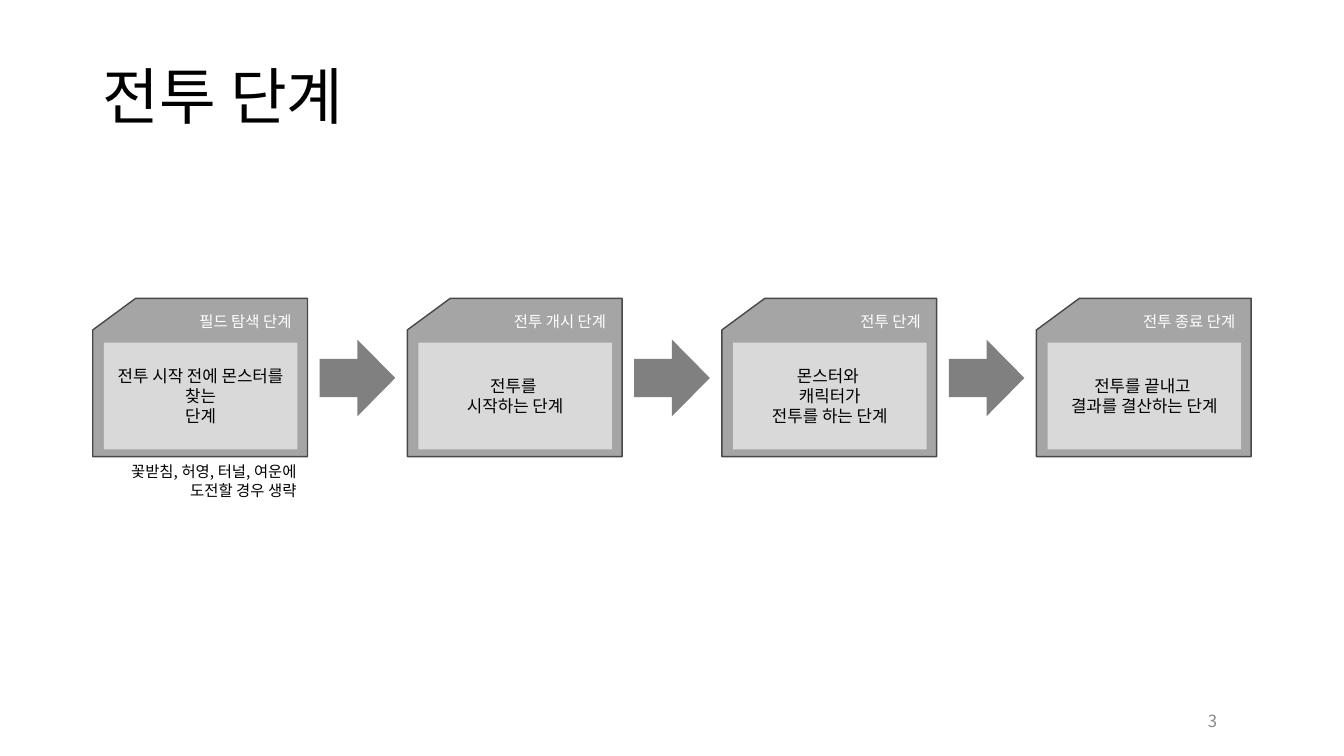
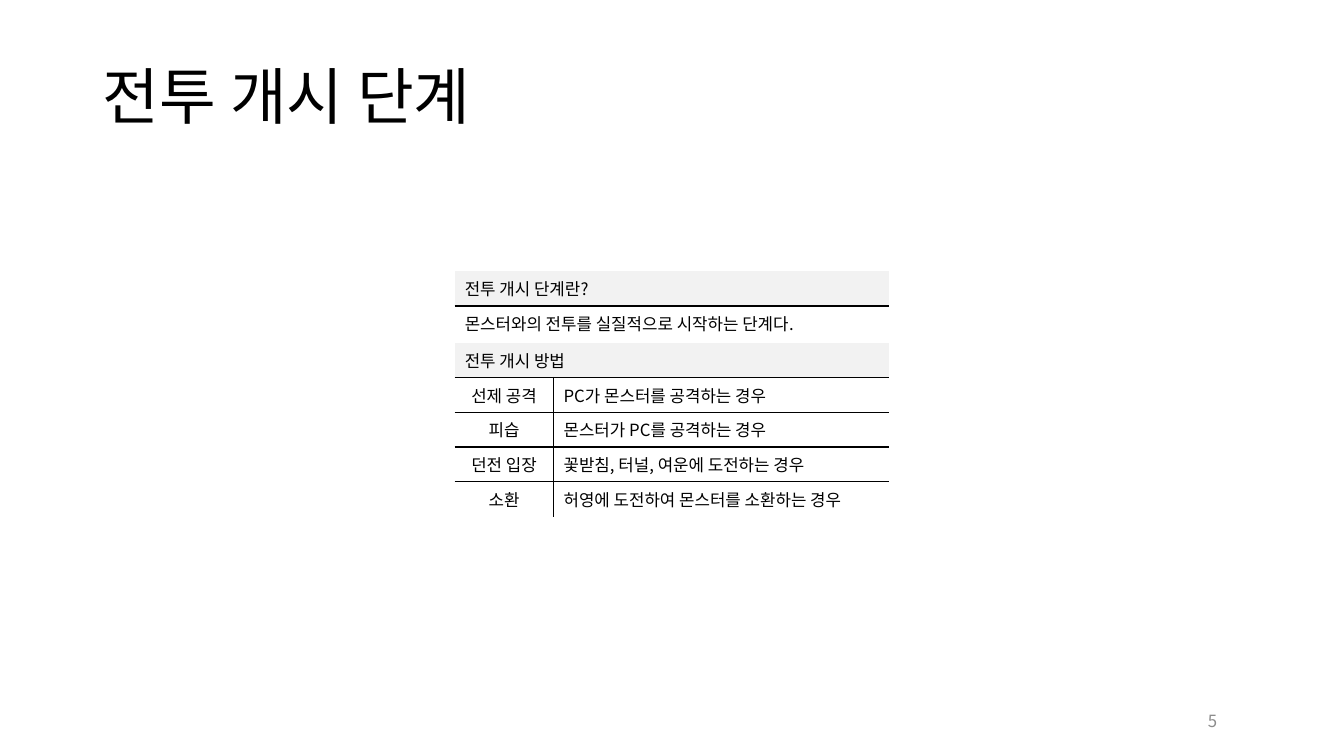
import dataclasses

import pptx
import pptx.dml.color
import pptx.enum.shapes
import pptx.enum.text
import pptx.oxml
import pptx.oxml.ns
import pptx.util

Inches = pptx.util.Inches
Pt = pptx.util.Pt
RGB = pptx.dml.color.RGBColor.from_string
Preset = pptx.enum.shapes.MSO_SHAPE
Align = pptx.enum.text.PP_ALIGN
Anchor = pptx.enum.text.MSO_ANCHOR
TITLE_ONLY = 5


@dataclasses.dataclass(frozen=True)
class Theme:
    font: str = "Noto Sans CJK KR"
    text: str = "000000"
    light_text: str = "FFFFFF"
    page_number: str = "8C8C8C"
    card: str = "A5A5A5"
    card_line: str = "484848"
    card_body: str = "D9D9D9"
    arrow: str = "808080"
    table_header: str = "F2F2F2"
    title_size: int = 44
    body_size: int = 12
    label_size: int = 11
    line_width: int = 1


THEME = Theme()

# Content
FLOW_TITLE, FLOW_PAGE = "전투 단계", "3"
STAGES = [
    ("필드 탐색 단계", ["전투 시작 전에 몬스터를 찾는", "단계"]),
    ("전투 개시 단계", ["전투를 ", "시작하는 단계"]),
    ("전투 단계", ["몬스터와 ", "캐릭터가", "전투를 하는 단계"]),
    ("전투 종료 단계", ["전투를 끝내고 ", "결과를 결산하는 단계"]),
]
SKIP_NOTE = "꽃받침, 허영, 터널, 여운에 도전할 경우 생략"

START_TITLE, START_PAGE = "전투 개시 단계", "5"
DEFINITION = [["전투 개시 단계란?"], ["몬스터와의 전투를 실질적으로 시작하는 단계다."]]
METHODS = [
    ["전투 개시 방법", ""],
    ["선제 공격", "PC가 몬스터를 공격하는 경우"],
    ["피습", "몬스터가 PC를 공격하는 경우"],
    ["던전 입장", "꽃받침, 터널, 여운에 도전하는 경우"],
    ["소환", "허영에 도전하여 몬스터를 소환하는 경우"],
]

# Layout in inches
CARD_LEFT, CARD_TOP, CARD_PITCH = 0.92, 2.96, 3.12
CARD_WIDTH, CARD_HEIGHT = 2.13, 1.57
TABLE_LEFT, ROW_HEIGHT = 4.51, 0.345


def write(frame, lines, size, color=THEME.text, align=Align.LEFT, anchor=Anchor.MIDDLE):
    frame.word_wrap = True
    frame.vertical_anchor = anchor
    frame.text = "\n".join(lines)
    for paragraph in frame.paragraphs:
        paragraph.alignment = align
        font = paragraph.font
        font.size, font.name = Pt(size), THEME.font
        font.color.rgb = RGB(color)
        # East Asian glyphs need their own typeface entry
        properties = paragraph._p.pPr.find(pptx.oxml.ns.qn("a:defRPr"))
        properties.append(pptx.oxml.parse_xml(
            f'<a:ea {pptx.oxml.ns.nsdecls("a")} typeface="{THEME.font}"/>'))


def add_text(slide, box, lines, size, **style):
    shape = slide.shapes.add_textbox(*map(Inches, box))
    write(shape.text_frame, lines, size, **style)


def add_block(slide, preset, box, fill, line=None):
    shape = slide.shapes.add_shape(preset, *map(Inches, box))
    shape.shadow.inherit = False
    shape.fill.solid()
    shape.fill.fore_color.rgb = RGB(fill)
    if line:
        shape.line.color.rgb = RGB(line)
        shape.line.width = Pt(THEME.line_width)
    else:
        shape.line.fill.background()
    return shape


def add_slide(presentation, title_text, page):
    slide = presentation.slides.add_slide(presentation.slide_layouts[TITLE_ONLY])
    title = slide.shapes.title
    title.left, title.top, title.width, title.height = map(Inches, (0.92, 0.4, 11.5, 1.17))
    write(title.text_frame, [title_text], THEME.title_size)
    title.text_frame.auto_size = pptx.enum.text.MSO_AUTO_SIZE.NONE
    title.text_frame.paragraphs[0].line_spacing = 0.9
    add_text(slide, (9.17, 6.95, 3, 0.4), [page], THEME.body_size,
             color=THEME.page_number, align=Align.RIGHT)
    return slide


def add_stage(slide, left, label, lines):
    add_block(slide, Preset.FLOWCHART_CARD, (left, CARD_TOP, CARD_WIDTH, CARD_HEIGHT),
              THEME.card, THEME.card_line)
    add_text(slide, (left + 0.48, CARD_TOP + 0.07, 1.59, 0.31), [label],
             THEME.label_size, color=THEME.light_text, align=Align.RIGHT)
    body = add_block(slide, Preset.RECTANGLE, (left + 0.11, CARD_TOP + 0.44, 1.92, 1.06),
                     THEME.card_body)
    write(body.text_frame, lines, THEME.body_size, align=Align.CENTER)


def draw_borders(cell, sides):
    properties = cell._tc.get_or_add_tcPr()
    for side in "LRTB":
        paint = (f'<a:solidFill><a:srgbClr val="{THEME.text}"/></a:solidFill>'
                 if side in sides else "<a:noFill/>")
        properties.append(pptx.oxml.parse_xml(
            f'<a:ln{side} {pptx.oxml.ns.nsdecls("a")} w="{Pt(THEME.line_width)}">'
            f"{paint}</a:ln{side}>"))


def add_grid(slide, top, widths, rows):
    """Header row across all columns, with rules only between cells."""
    table = slide.shapes.add_table(
        len(rows), len(widths), Inches(TABLE_LEFT), Inches(top),
        Inches(sum(widths)), Inches(ROW_HEIGHT * len(rows))).table
    table.first_row = table.horz_banding = False
    for column, width in zip(table.columns, widths):
        column.width = Inches(width)
    last_row, last_column = len(rows) - 1, len(widths) - 1
    for r, row in enumerate(rows):
        table.rows[r].height = Inches(ROW_HEIGHT)
        for c, text in enumerate(row):
            cell = table.cell(r, c)
            sides = ("T" if r else "") + ("B" if r < last_row else "")
            if r:
                sides += ("L" if c else "") + ("R" if c < last_column else "")
            draw_borders(cell, sides)
            if r:
                cell.fill.background()
            else:
                cell.fill.solid()
                cell.fill.fore_color.rgb = RGB(THEME.table_header)
            is_key = r > 0 and c < last_column
            write(cell.text_frame, [text], THEME.body_size,
                  align=Align.CENTER if is_key else Align.LEFT)
            cell.vertical_anchor = Anchor.MIDDLE
    if last_column:
        table.cell(0, 0).merge(table.cell(0, last_column))


def build_flow(presentation):
    slide = add_slide(presentation, FLOW_TITLE, FLOW_PAGE)
    for index, (label, lines) in enumerate(STAGES):
        left = CARD_LEFT + index * CARD_PITCH
        add_stage(slide, left, label, lines)
        if index < len(STAGES) - 1:
            add_block(slide, Preset.RIGHT_ARROW, (left + 2.25, 3.37, 0.75, 0.76), THEME.arrow)
    add_text(slide, (CARD_LEFT, 4.54, 2.12, 0.47), [SKIP_NOTE], THEME.label_size,
             align=Align.RIGHT, anchor=Anchor.TOP)


def build_start(presentation):
    slide = add_slide(presentation, START_TITLE, START_PAGE)
    add_grid(slide, 2.69, [4.31], DEFINITION)
    add_grid(slide, 3.4, [0.98, 3.33], METHODS)


def main():
    presentation = pptx.Presentation()
    presentation.slide_width, presentation.slide_height = Inches(13.33), Inches(7.5)
    build_flow(presentation)
    build_start(presentation)
    presentation.save("out.pptx")


if __name__ == "__main__":
    main()
